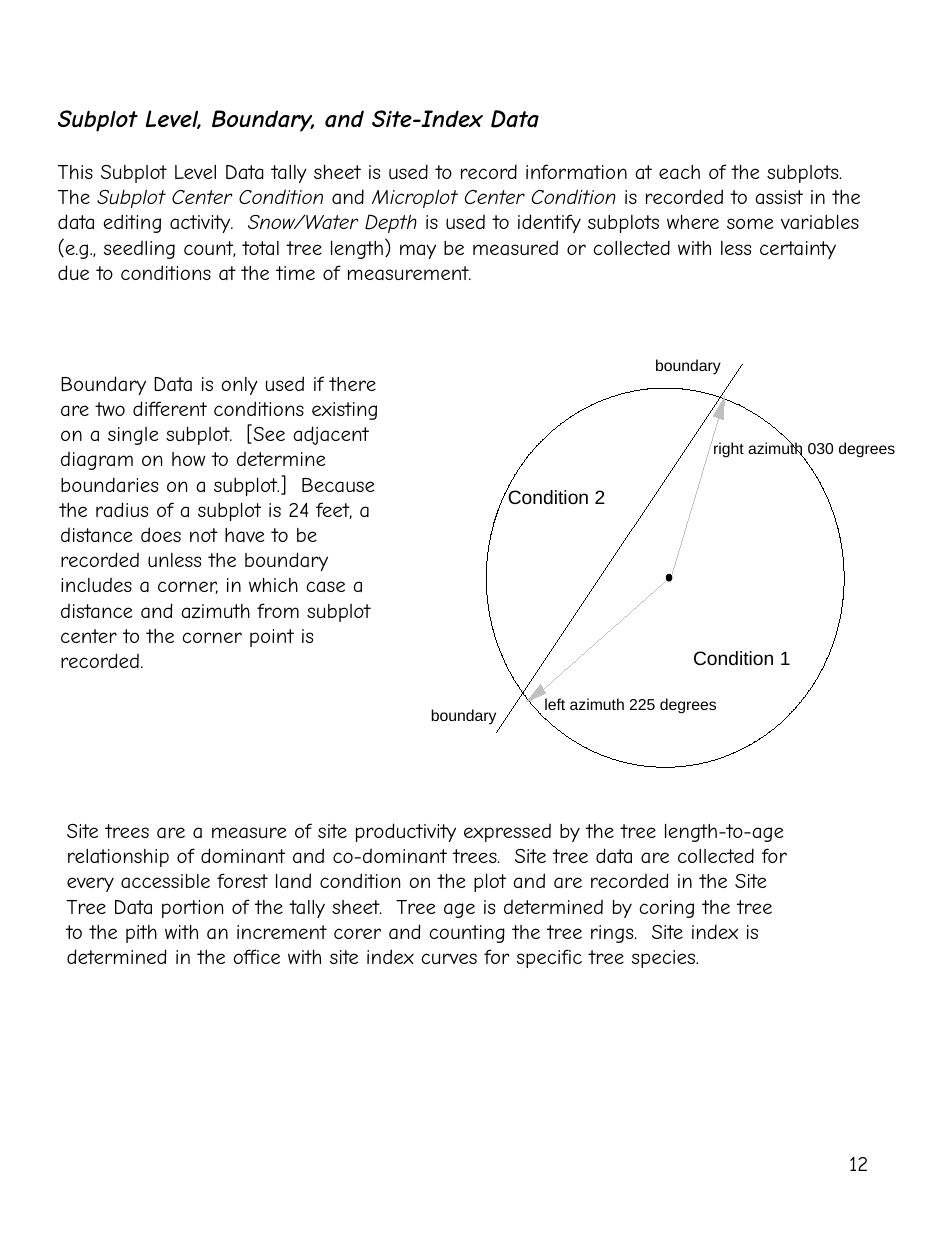
from lxml import etree
from pptx import Presentation
from pptx.dml.color import RGBColor
from pptx.enum.shapes import MSO_CONNECTOR, MSO_SHAPE
from pptx.enum.text import MSO_ANCHOR, MSO_AUTO_SIZE, PP_ALIGN
from pptx.oxml.ns import qn
from pptx.util import Inches, Pt

STRAIGHT = MSO_CONNECTOR.STRAIGHT
OVAL = MSO_SHAPE.OVAL
TOP = MSO_ANCHOR.TOP
LEFT = PP_ALIGN.LEFT
NO_FIT = MSO_AUTO_SIZE.NONE
GROW = MSO_AUTO_SIZE.SHAPE_TO_FIT_TEXT

BODY_FONT, LABEL_FONT = "Comic Neue", "Arial"
BLACK, GREY = "000000", "C0C0C0"
HAIRLINE = 0.01  # a width of 0 would fall back to the theme's line width

HEADING = "Subplot Level, Boundary, and Site-Index Data"
HEADING_PLACE = (0.36, 0.77, 6.64, 0.33)

# Body texts: place, then spans of (text, italic)
BODY_TEXTS = [
    ((0.36, 1.21, 6.64, 1.1), [
        ("This Subplot Level Data tally sheet is used to record information at each of the subplots.  The ", False),
        ("Subplot Center Condition", True),
        (" and ", False),
        ("Microplot Center Condition", True),
        (" is recorded to assist in the data editing activity.  ", False),
        ("Snow/Water Depth", True),
        (" is used to identify subplots where some variables (e.g., seedling count, total tree length) "
         "may be measured or collected with less certainty due to conditions at the time of measurement.", False),
    ]),
    ((0.38, 2.89, 2.87, 2.5), [
        ("Boundary Data is only used if there are two different conditions existing on a single subplot.  "
         "[See adjacent diagram on how to determine boundaries on a subplot.]  Because the radius of a "
         "subplot is 24 feet, a distance does not have to be recorded unless the boundary includes a corner, "
         "in which case a distance and azimuth from subplot center to the corner point is recorded.", False),
    ]),
    ((0.43, 6.44, 5.95, 1.3), [
        ("Site trees are a measure of site productivity expressed by the tree length-to-age relationship of "
         "dominant and co-dominant trees.  Site tree data are collected for every accessible forest land "
         "condition on the plot and are recorded in the Site Tree Data portion of the tally sheet.  Tree age "
         "is determined by coring the tree to the pith with an increment corer and counting the tree rings.  "
         "Site index is determined in the office with site index curves for specific tree species.", False),
    ]),
    ((6.64, 9.08, 0.35, 0.3), [("12", False)]),
]

# Diagram labels: text, size, place
LABELS = [
    ("right azimuth 030 degrees", 9, (5.66, 3.48, 1.46, 0.15)),
    ("left azimuth 225 degrees", 9, (4.32, 5.51, 1.38, 0.15)),
    ("Condition 2", 11, (4.03, 3.85, 0.79, 0.18)),
    ("Condition 1", 11, (5.5, 5.13, 0.79, 0.18)),
    ("boundary", 9, (5.2, 2.82, 0.54, 0.15)),
    ("boundary", 9, (3.42, 5.6, 0.54, 0.15)),
]

SUBPLOT = (3.86, 3.08, 2.84, 3.01)
CENTER_DOT = (5.29, 4.56, 0.04, 0.05)
CENTER = (5.33, 4.57)
BOUNDARY = ((5.89, 2.89), (3.94, 5.81))
# Azimuths: end of the ray, then corners of its arrowhead
AZIMUTHS = [
    ((4.21, 5.56), [(4.33, 5.5), (4.18, 5.57), (4.29, 5.43)]),
    ((5.75, 3.16), [(5.66, 3.3), (5.75, 3.15), (5.74, 3.33)]),
]


def inches(values):
    return [Inches(value) for value in values]


def color(hex_code):
    return RGBColor.from_string(hex_code)


def style_font(font, name, size):
    font.name, font.size = name, Pt(size)
    font.color.rgb = color(BLACK)


def style_shape(shape, line, fill=None, width=HAIRLINE):
    shape.shadow.inherit = False
    if fill:
        shape.fill.solid()
        shape.fill.fore_color.rgb = color(fill)
    else:
        shape.fill.background()
    shape.line.color.rgb = color(line)
    shape.line.width = Pt(width)


def add_heading(page):
    title = page.shapes.title
    title.left, title.top, title.width, title.height = inches(HEADING_PLACE)
    frame = title.text_frame
    frame.text = HEADING
    frame.auto_size = NO_FIT
    frame.vertical_anchor = TOP
    para = frame.paragraphs[0]
    para.alignment = LEFT
    style_font(para.font, BODY_FONT, 14)
    para.font.bold = para.font.italic = True


def add_body_text(page, place, spans):
    frame = page.shapes.add_textbox(*inches(place)).text_frame
    frame.word_wrap = True
    para = frame.paragraphs[0]
    style_font(para.font, BODY_FONT, 12)
    for text, italic in spans:
        span = para.add_run()
        span.text = text
        if italic:
            span.font.italic = True


def add_label(page, text, size, place):
    frame = page.shapes.add_textbox(*inches(place)).text_frame
    frame.margin_left = frame.margin_top = frame.margin_right = frame.margin_bottom = 0
    frame.word_wrap = False
    frame.auto_size = GROW
    frame.text = text
    style_font(frame.paragraphs[0].font, LABEL_FONT, size)


def add_line(page, start, end, hex_code):
    line = page.shapes.add_connector(STRAIGHT, *inches(start + end))
    line.line.color.rgb = color(hex_code)
    line.line.width = Pt(HAIRLINE)
    etree.SubElement(line._element.spPr, qn("a:effectLst"))


def add_arrowhead(page, corners):
    first, *others = [inches(corner) for corner in corners]
    builder = page.shapes.build_freeform(*first)
    builder.add_line_segments(others, close=True)
    style_shape(builder.convert_to_shape(), GREY, GREY)


def add_diagram(page):
    style_shape(page.shapes.add_shape(OVAL, *inches(SUBPLOT)), BLACK)
    for ray_end, corners in AZIMUTHS:
        add_line(page, CENTER, ray_end, GREY)
        add_arrowhead(page, corners)
    style_shape(page.shapes.add_shape(OVAL, *inches(CENTER_DOT)), BLACK, BLACK, 0.88)
    add_line(page, *BOUNDARY, BLACK)
    for label in LABELS:
        add_label(page, *label)


def main():
    deck = Presentation()
    deck.slide_width, deck.slide_height = inches((7.5, 10))
    page = deck.slides.add_slide(deck.slide_layouts.get_by_name("Title Only"))
    add_heading(page)
    add_diagram(page)
    for place, spans in BODY_TEXTS:
        add_body_text(page, place, spans)
    deck.save("out.pptx")


if __name__ == "__main__":
    main()
